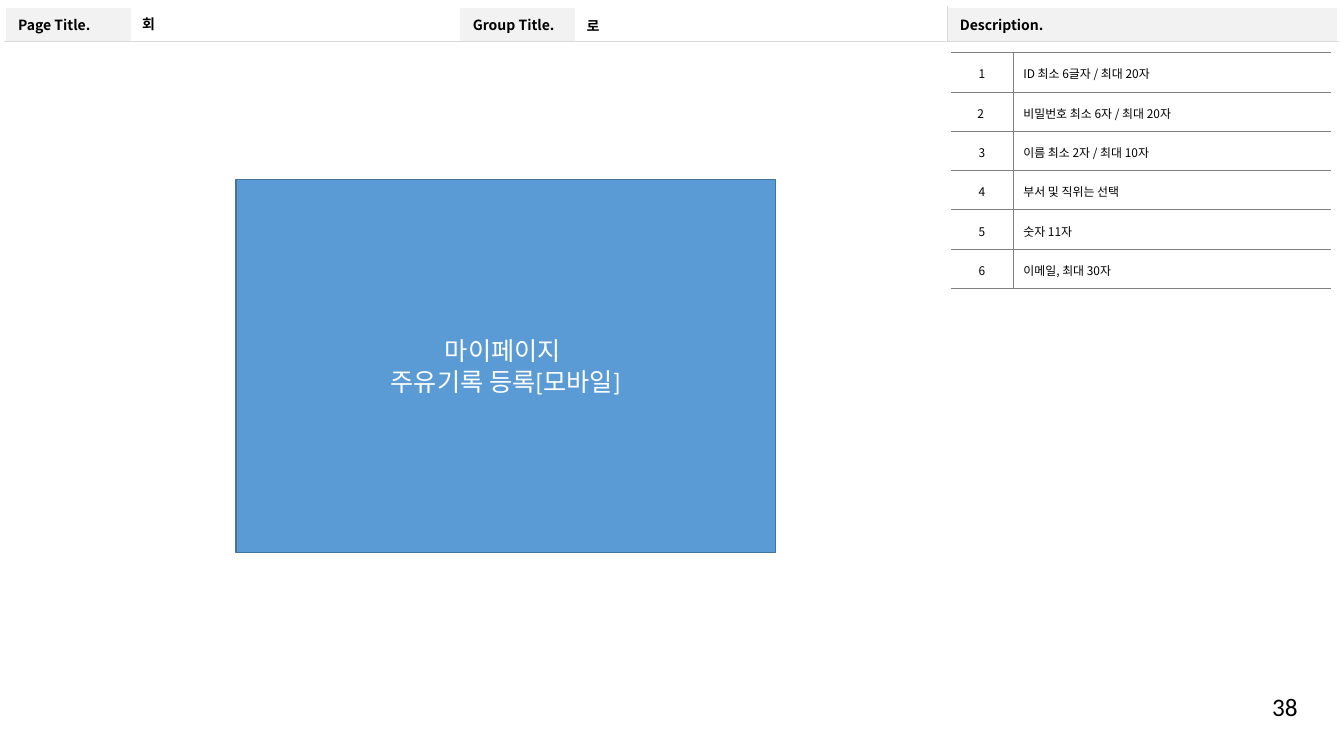
from dataclasses import dataclass

from lxml.etree import SubElement
from pptx import Presentation
from pptx.dml.color import RGBColor
from pptx.enum.shapes import MSO_SHAPE
from pptx.enum.text import MSO_ANCHOR, PP_ALIGN
from pptx.oxml.ns import qn
from pptx.util import Emu, Pt

PX = 9144  # 100 px to the inch
KOREAN = "Noto Sans CJK KR"
BLACK, WHITE, PALE, RULE, GRAY = "000000", "FFFFFF", "F2F2F2", "D9D9D9", "808080"


@dataclass(frozen=True)
class TextStyle:
    size: float
    font: str
    bold: bool = False
    color: str = BLACK
    align: PP_ALIGN = PP_ALIGN.LEFT
    spacing: float = 1.0


@dataclass(frozen=True)
class Label:
    text: str
    box: tuple[int, int, int, int]
    style: TextStyle
    anchor: MSO_ANCHOR


def px(*lengths: int) -> list[Emu]:
    return [Emu(length * PX) for length in lengths]


def rgb(color: str) -> RGBColor:
    return RGBColor.from_string(color)


def write(frame, text: str, style: TextStyle) -> None:
    paragraph = frame.paragraphs[0]
    paragraph.text = text
    paragraph.alignment = style.align
    paragraph.line_spacing = style.spacing
    font = paragraph.font
    font.size, font.name, font.bold = Pt(style.size), style.font, style.bold
    font.color.rgb = rgb(style.color)
    defaults = paragraph._p.find(".//" + qn("a:defRPr"))
    SubElement(defaults, qn("a:ea"), typeface=KOREAN)


def set_borders(cell, **colors: str) -> None:
    """Draw the named sides (L, R, T, B) and clear the others."""
    properties = cell._tc.get_or_add_tcPr()
    for index, side in enumerate("LRTB"):
        color = colors.get(side)
        width = Pt(1) if color == WHITE else Pt(0.25)
        line = properties.makeelement(qn(f"a:ln{side}"), {"w": str(width)})
        properties.insert(index, line)
        if color:
            fill = SubElement(line, qn("a:solidFill"))
            SubElement(fill, qn("a:srgbClr"), val=color)
        else:
            SubElement(line, qn("a:noFill"))


def add_plain_table(slide, left: int, top: int, columns: list[int], rows: list[int]):
    frame = slide.shapes.add_table(
        len(rows), len(columns), *px(left, top, sum(columns), sum(rows)))
    table = frame.table
    table.first_row = table.horz_banding = False
    for column, width in zip(table.columns, px(*columns)):
        column.width = width
    for row, height in zip(table.rows, px(*rows)):
        row.height = height
    for cell in table.iter_cells():
        cell.fill.background()
        cell.vertical_anchor = MSO_ANCHOR.MIDDLE
    return table


def add_page_frame(slide) -> None:
    headings = ["Page Title.", "", "Group Title.", "", "Description."]
    heading_style = TextStyle(10, KOREAN, bold=True)
    table = add_plain_table(slide, 5, 7, [126, 325, 115, 368, 388], [34, 667])
    for column, heading in enumerate(headings):
        header, body = table.cell(0, column), table.cell(1, column)
        left = RULE if column == 4 else WHITE
        right = RULE if column == 3 else WHITE
        set_borders(header, L=left, R=right, T=WHITE, B=RULE)
        set_borders(body, L=left, R=right, T=RULE, B=WHITE)
        if heading:
            header.margin_left, header.margin_right = px(13, 13)
            header.margin_top, header.margin_bottom = px(7, 7)
            header.fill.solid()
            header.fill.fore_color.rgb = rgb(PALE)
            write(header.text_frame, heading, heading_style)
        else:
            header.margin_top, header.margin_bottom = px(0, 0)
    table.cell(1, 0).merge(table.cell(1, 3))


def add_descriptions(slide, descriptions: list[str]) -> None:
    number_style = TextStyle(8.5, KOREAN, align=PP_ALIGN.CENTER, spacing=1.2)
    detail_style = TextStyle(8.5, KOREAN, align=PP_ALIGN.JUSTIFY, spacing=1.2)
    table = add_plain_table(slide, 943, 52, [62, 315], [39] * len(descriptions))
    for row, description in enumerate(descriptions):
        number, detail = table.cell(row, 0), table.cell(row, 1)
        # The second number carries a trailing space
        write(number.text_frame, "2 " if row == 1 else str(row + 1), number_style)
        write(detail.text_frame, description, detail_style)
        set_borders(number, R=GRAY, T=GRAY, B=GRAY)
        set_borders(detail, L=GRAY, T=GRAY, B=GRAY)


def fill_label(shape, label: Label) -> None:
    shape.left, shape.top, shape.width, shape.height = px(*label.box)
    frame = shape.text_frame
    frame.word_wrap = True
    frame.vertical_anchor = label.anchor
    write(frame, label.text, label.style)


def add_screen_panel(slide) -> None:
    panel = slide.shapes.add_shape(MSO_SHAPE.RECTANGLE, *px(234, 178, 535, 370))
    panel.shadow.inherit = False
    panel.fill.solid()
    panel.fill.fore_color.rgb = rgb("5B9BD5")
    panel.line.color.rgb = rgb("43739E")
    panel.line.width = Pt(1)
    panel.text_frame.vertical_anchor = MSO_ANCHOR.MIDDLE
    write(panel.text_frame, "마이페이지 \v주유기록 등록[모바일]",
          TextStyle(18, "Calibri", color=WHITE, align=PP_ALIGN.CENTER))


def main() -> None:
    presentation = Presentation()
    presentation.slide_width, presentation.slide_height = px(1333, 750)
    slide = presentation.slides.add_slide(presentation.slide_layouts[5])

    # Page frame and field rules
    add_page_frame(slide)
    add_descriptions(slide, [
        "ID 최소 6글자 / 최대 20자",
        "비밀번호 최소 6자 / 최대 20자",
        "이름 최소 2자 / 최대 10자",
        "부서 및 직위는 선택",
        "숫자 11자",
        "이메일, 최대 30자",
    ])

    # Page title, group title and page number
    fill_label(slide.shapes.title, Label(
        "회", (131, 12, 324, 24), TextStyle(10, "Arial", bold=True), MSO_ANCHOR.MIDDLE))
    for label in (
        Label("로", (572, 12, 364, 24), TextStyle(10, "Calibri", bold=True),
              MSO_ANCHOR.TOP),
        Label("38", (997, 681, 300, 40),
              TextStyle(18, "Calibri", align=PP_ALIGN.RIGHT), MSO_ANCHOR.MIDDLE),
    ):
        fill_label(slide.shapes.add_textbox(*px(*label.box)), label)

    # Screen panel
    add_screen_panel(slide)
    presentation.save("out.pptx")


if __name__ == "__main__":
    main()
